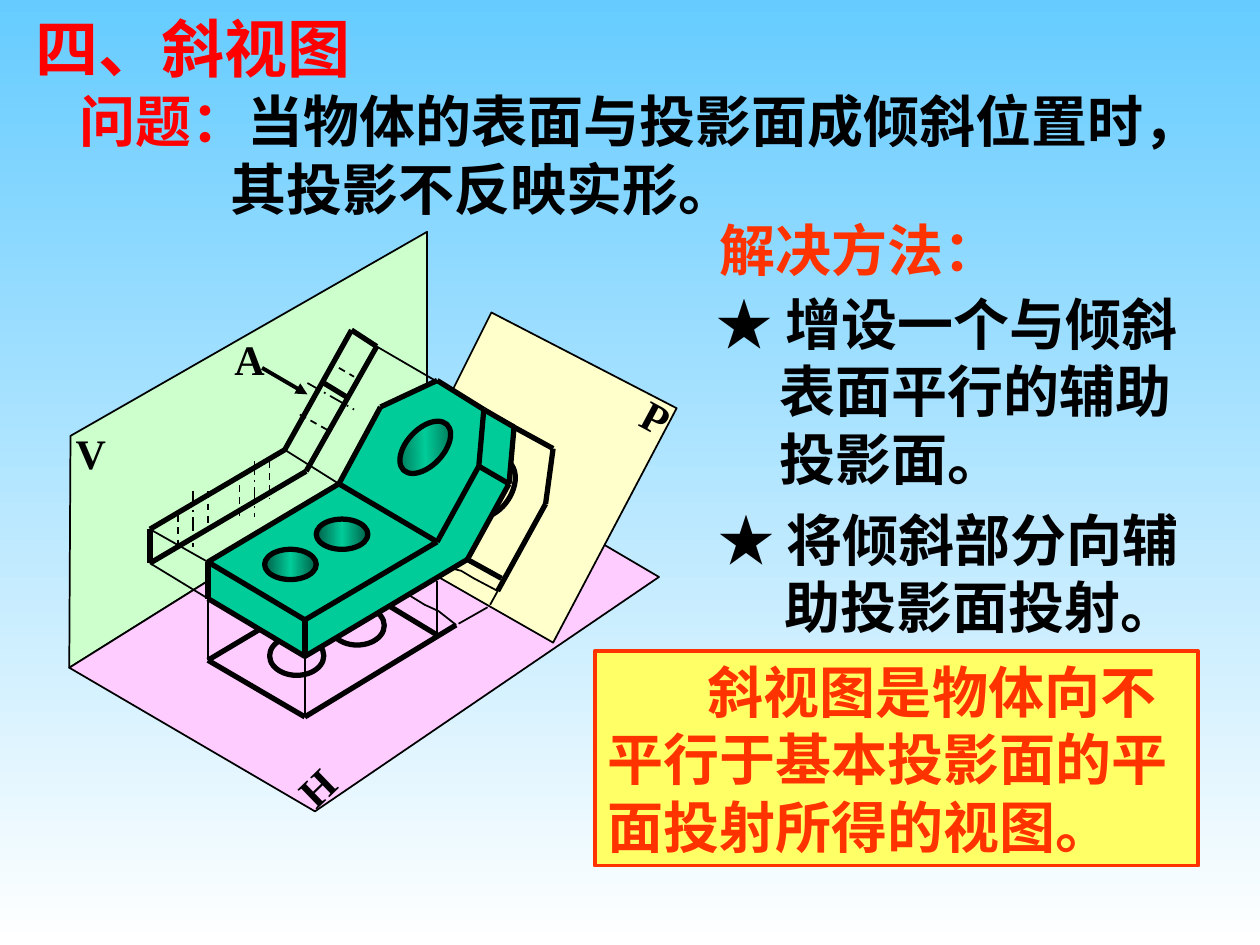
"""Build the slide on oblique views; lengths count columns and rows of a 1000 by 750 grid."""
from copy import deepcopy
from itertools import pairwise

from lxml.etree import SubElement
from pptx import Presentation
from pptx.dml.color import RGBColor
from pptx.enum.dml import MSO_LINE
from pptx.enum.shapes import MSO_CONNECTOR, MSO_SHAPE
from pptx.enum.text import MSO_ANCHOR, PP_ALIGN
from pptx.oxml.ns import qn
from pptx.util import Inches, Pt

BLACK, RED, ORANGE, GREEN, DARK_GREEN = "000000", "FF0000", "FF3300", "00CC99", "005E47"
SOLID, DASH, CENTRE = MSO_LINE.SOLID, MSO_LINE.DASH, MSO_LINE.LONG_DASH_DOT
THIN, THICK = 1, 3
LEFT, MIDDLE = PP_ALIGN.LEFT, PP_ALIGN.CENTER


def paint(fill, *colours):
    if not colours:
        fill.background()
    elif len(colours) == 1:
        fill.solid()
        fill.fore_color.rgb = RGBColor.from_string(colours[0])
    else:
        for index, (stop, colour) in enumerate(zip(fill.gradient_stops, colours)):
            stop.position = index / (len(colours) - 1)
            stop.color.rgb = RGBColor.from_string(colour)


def write(shape, paragraphs, size, alignment, anchor, wrap):
    frame = shape.text_frame
    frame.word_wrap, frame.vertical_anchor = wrap, anchor
    for index, (margin, indent, runs) in enumerate(paragraphs):
        paragraph = frame.add_paragraph() if index else frame.paragraphs[0]
        paragraph.alignment, paragraph.line_spacing = alignment, Pt(size * 1.2)
        properties = paragraph._p.get_or_add_pPr()
        properties.set("marL", str(margin * column))
        properties.set("indent", str(indent * column))
        for text, colour in runs:
            run = paragraph.add_run()
            run.text = text
            for name, value in {"size": Pt(size), "bold": True, "name": "Times New Roman"}.items():
                setattr(run.font, name, value)
            paint(run.font.fill, colour)
            SubElement(run._r.rPr, qn("a:ea"), typeface="Noto Sans CJK SC")


presentation = Presentation()
presentation.slide_width, presentation.slide_height = Inches(10), Inches(7.5)
column = presentation.slide_width // 1000
slide = presentation.slides.add_slide(presentation.slide_layouts[6])
background = slide.background.fill
background.gradient()
background.gradient_angle = 270
paint(background, "66CCFF", "FFFFFF")

left, front, fold_front, fold_back = base_top = [(165, 446), (242, 492), (347, 430), (269, 384)]
shoulder_left, apex, shoulder_right, waist = (302, 323), (347, 302), (384, 325), (380, 370)
left_low, front_low = [(x, y + 29) for x, y in (left, front)]
shoulder_low, waist_low, fold_low = [(x + 24, y + 14) for x, y in (shoulder_right, waist, fold_front)]
plate = [fold_back, shoulder_left, apex, shoulder_right, waist, fold_front]
rim = [left, left_low, front_low, fold_low, waist_low, shoulder_low, shoulder_right, waist, fold_front, front]

profile_low, profile_left, profile_bend, profile_tip, profile_end, profile_corner = profile = [
    (119, 447), (119, 420), (226, 357), (279, 262), (299, 275), (243, 374)]
plan_left, plan_front, plan_right, plan_fold = (165, 524), (242, 569), (362, 496), (347, 504)
oblique_top, oblique_side, oblique_foot = (439, 356), (433, 400), (395, 469)

plane_layer = {
    "faces": [("CCFFCC", THIN, [(339, 184), (339, 352), (55, 530), (56, 346)]),
              ("FFCCFF", THIN, [(55, 530), (341, 351), (523, 458), (250, 644)])]}

front_layer = {"edges": [
    (THIN, SOLID, [profile_low, left_low]),
    (THIN, SOLID, [profile_left, left]),
    (THIN, SOLID, [profile_bend, fold_back]),
    (THIN, SOLID, [profile_end, (366, 314)]),
    (THICK, SOLID, profile + profile[:1]),
    (THICK, SOLID, [(257, 304), (275, 315)]),
    (THIN, CENTRE, [(244, 304), (281, 325)]),
    (THIN, DASH, [(238, 329), (263, 343)]),
    (THIN, DASH, [(269, 292), (281, 299)])]}
for x, y in ((153, 390), (202, 366)):
    front_layer["edges"] += [
        (THIN, CENTRE, [(x, y), (x, y + 44)]),
        (THIN, DASH, [(x - 12, y + 19), (x - 12, y + 44)]),
        (THIN, DASH, [(x + 12, y), (x + 12, y + 30)])]

top_layer = {
    "curves": [[plan_right, (348, 485), (337, 480), (324, 472)]],
    "edges": [
        (THIN, SOLID, [left_low, plan_left]),
        (THIN, SOLID, [front_low, plan_front]),
        (THIN, SOLID, [(347, 461), plan_fold]),
        (THICK, SOLID, [(207, 499), plan_left, plan_front, plan_right]),
        (THICK, SOLID, [plan_fold, (309, 481)])],
    "holes": [(214 + 48 * hole, 505 - 24 * hole, 43, 31, 0, None) for hole in range(2)]}

auxiliary_layer = {
    "faces": [("FFFFCC", THIN, [(439, 510), (537, 324), (390, 248), (299, 430)])],
    "curves": [[oblique_foot, (376, 459), (366, 453), (354, 450)]],
    "edges": [
        (THIN, SOLID, [(389, 480), oblique_side]),
        (THIN, SOLID, [(364, 495), (387, 482)]),
        (THICK, SOLID, [(397, 333), oblique_top, oblique_side, oblique_foot]),
        (THICK, SOLID, [(360, 438), (398, 459)])],
    "holes": [(372, 362, 34, 51, 33.6, None)]}

body_layer = {
    "faces": [(GREEN, 0, corners) for corners in (rim, plate, base_top)],
    "edges": [
        (THICK, SOLID, base_top + [left]),
        (THICK, SOLID, plate),
        (THICK, SOLID, rim[:7]),
        (THICK, SOLID, [front, front_low]),
        (THICK, SOLID, [waist, waist_low]),
        (2.25, "arrow", [(208, 292), (244, 313)])],
    "holes": [(210 + 41 * hole, 436 - 24 * hole, 41, 24, 0, 0) for hole in range(2)]
             + [(323, 330, 29, 50, 43.4, 45)]}

for layer in (plane_layer, front_layer, top_layer, auxiliary_layer, body_layer):
    outlines = [(colour, weight, corners) for colour, weight, corners in layer.get("faces", [])]
    outlines += [(None, THIN, points) for points in layer.get("curves", [])]
    for colour, weight, points in outlines:
        builder = slide.shapes.build_freeform(*points[0], scale=column)
        builder.add_line_segments(points[1:], close=colour is not None)
        outline = builder.convert_to_shape()
        outline.shadow.inherit = False
        paint(outline.fill, *([colour] if colour else []))
        paint(outline.line.fill, *([BLACK] if weight else []))
        if weight:
            outline.line.width = Pt(weight)

    for weight, style, points in layer.get("edges", []):
        for start, end in pairwise(points):
            edge = slide.shapes.add_connector(
                MSO_CONNECTOR.STRAIGHT, *(length * column for length in start + end))
            paint(edge.line.fill, BLACK)
            edge.line.width = Pt(weight)
            if style == "arrow":
                SubElement(edge.element.spPr.find(qn("a:ln")), qn("a:tailEnd"), type="triangle")
            elif style != SOLID:
                edge.line.dash_style = style
            SubElement(edge.element.spPr, qn("a:effectLst"))

    for *box, rotation, angle in layer.get("holes", []):
        hole = slide.shapes.add_shape(MSO_SHAPE.OVAL, *(length * column for length in box))
        hole.shadow.inherit = False
        hole.rotation = rotation
        paint(hole.line.fill, BLACK)
        hole.line.width = Pt(THICK)
        if angle is None:
            paint(hole.fill)
        else:
            hole.fill.gradient()
            hole.fill.gradient_angle = angle
            stops = hole.element.spPr.find(".//" + qn("a:gsLst"))
            stops.append(deepcopy(stops[0]))
            paint(hole.fill, DARK_GREEN, GREEN, DARK_GREEN)

labels = {"V": (50, 334, 44, 0), "H": (228, 600, 46, 316), "P": (501, 306, 40, 28.2), "A": (176, 260, 44, 0)}
for letter, (x, y, width, rotation) in labels.items():
    label = slide.shapes.add_textbox(*(length * column for length in (x, y, width, 50)))
    label.rotation = rotation
    write(label, [(0, 0, [(letter, BLACK)])], 24, MIDDLE, MSO_ANCHOR.MIDDLE, False)

texts = [
    ((18, 3, 270, 70), 36, LEFT, False, [(0, 0, [("四、斜视图", RED)])]),
    ((53, 64, 910, 117), 32, LEFT, False, [
        (0, 0, [("问题：", RED), ("当物体的表面与投影面成倾斜位置时，", BLACK)]),
        (120, 0, [("其投影不反映实形。", BLACK)])]),
    ((561, 166, 242, 64), 32, LEFT, False, [(0, 0, [("解决方法：", ORANGE)])]),
    ((559, 225, 425, 170), 32, LEFT, True, [
        (0, 0, [("★ 增设一个与倾斜", BLACK)]),
        (50, 0, [("表面平行的辅助", BLACK)]),
        (50, 0, [("投影面。", BLACK)])]),
    ((523, 396, 460, 170), 32, MIDDLE, True, [
        (0, 0, [("★ 将倾斜部分向辅", BLACK)]),
        (51, 0, [("助投影面投射。", BLACK)])])]
for box, size, alignment, wrap, paragraphs in texts:
    textbox = slide.shapes.add_textbox(*(length * column for length in box))
    write(textbox, paragraphs, size, alignment, MSO_ANCHOR.TOP, wrap)

definition = slide.shapes.add_shape(MSO_SHAPE.RECTANGLE, *(length * column for length in (472, 517, 479, 170)))
definition.shadow.inherit = False
paint(definition.fill, "FFFF66")
paint(definition.line.fill, ORANGE)
definition.line.width = Pt(2.25)
write(definition, [(0, 80, [("斜视图是物体向不平行于基本投影面的平面投射所得的视图。", ORANGE)])],
      32, LEFT, MSO_ANCHOR.MIDDLE, True)

presentation.save("out.pptx")
